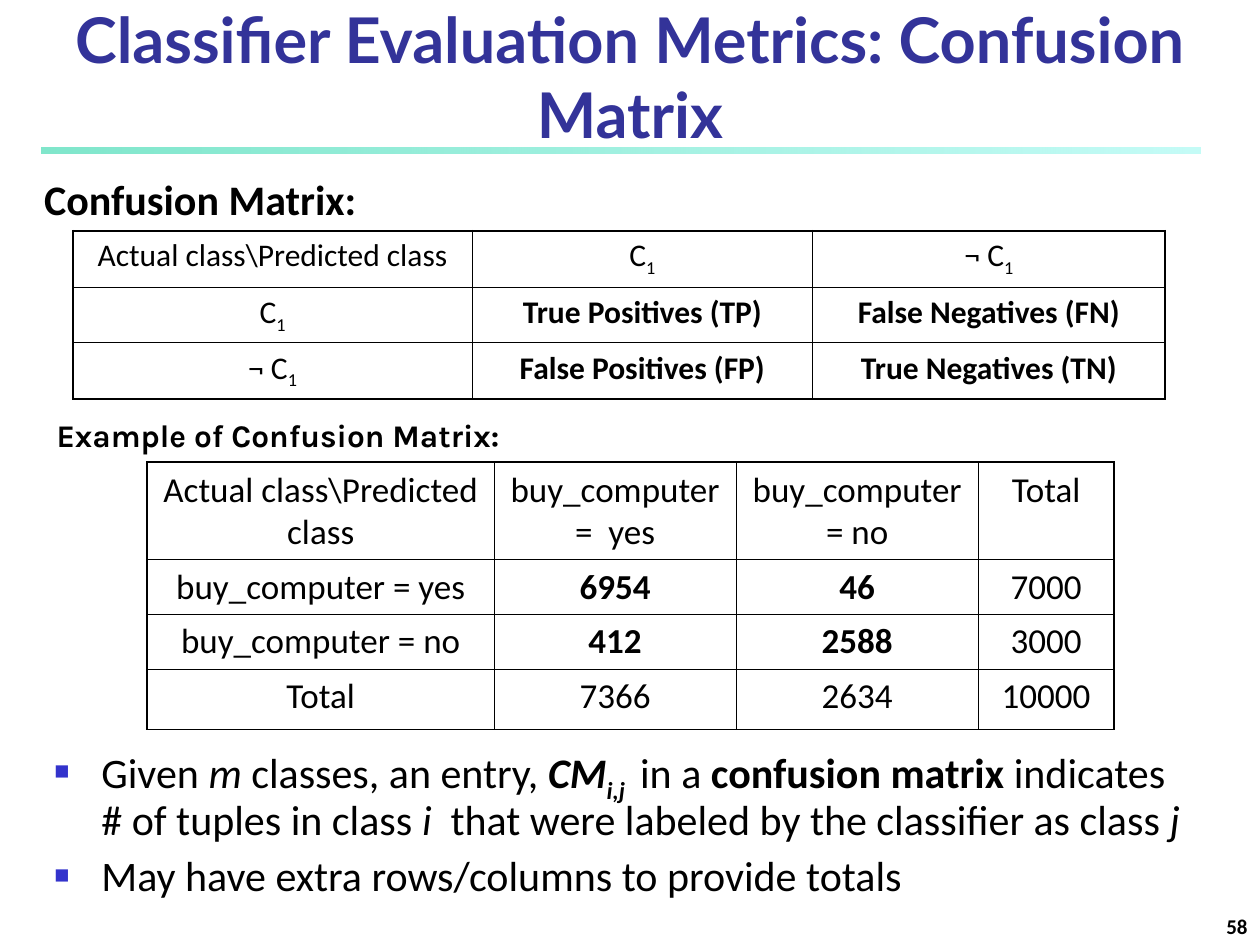
from lxml.etree import SubElement as Sub
from pptx import Presentation
from pptx.dml.color import RGBColor as Rgb
from pptx.enum.shapes import MSO_SHAPE as Shape
from pptx.enum.text import MSO_ANCHOR as Anchor, MSO_AUTO_SIZE as Fit, PP_ALIGN as Align
from pptx.oxml.ns import qn
from pptx.util import Cm, Pt

COLORS = {"title": "333399", "text": "000000", "bullet": "3333CC",
          "start": "00CE98", "end": "8FF9EF"}
FONT = "Calibri"
THICK, THIN = 1.08, 0.45
C1 = [("C", ""), ("1", "s")]
NOT_C1 = [("¬ C", ""), ("1", "s")]


def color(name):
    return Rgb.from_string(COLORS[name])


def box_cm(box):
    return [Cm(n) for n in box]


def place(shape, box):
    shape.left, shape.top, shape.width, shape.height = box_cm(box)


def write(para, parts, size, font=FONT, ink="text", align=None):
    """Fill a paragraph with (text, marks) parts: b bold, i italic, s subscript."""
    para.alignment = align
    for text, marks in parts:
        run = para.add_run()
        run.text = text
        face = run.font
        face.name, face.size = font, Pt(size)
        face.bold, face.italic = "b" in marks, "i" in marks
        face.color.rgb = color(ink)
        if "s" in marks:
            run._r.get_or_add_rPr().set("baseline", "-25000")


def add_title(slide, box, text):
    title = slide.shapes.title
    place(title, box)
    frame = title.text_frame
    frame.auto_size, frame.vertical_anchor = Fit.NONE, Anchor.BOTTOM
    write(frame.paragraphs[0], [(text, "b")], 36, "Lato", "title", Align.CENTER)


def add_rule(slide, box):
    """Draw the fading bar behind the title."""
    bar = slide.shapes.add_shape(Shape.RECTANGLE, *box_cm(box))
    bar.shadow.inherit = False
    bar.line.fill.background()
    bar.fill.gradient()
    bar.fill.gradient_angle = 0
    looks = (("start", 50), ("end", 52))
    for stop, (name, alpha) in zip(bar.fill.gradient_stops, looks):
        stop.color.rgb = color(name)
    for tint, (_, alpha) in zip(bar._element.spPr.iter(qn("a:srgbClr")), looks):
        Sub(tint, qn("a:alpha"), val=str(alpha * 1000))
    slide.shapes._spTree.insert(2, bar._element)


def add_label(slide, box, text, size, font=FONT, align=None, anchor=Anchor.TOP, wrap=True):
    frame = slide.shapes.add_textbox(*box_cm(box)).text_frame
    frame.word_wrap, frame.vertical_anchor = wrap, anchor
    write(frame.paragraphs[0], [(text, "b")], size, font, align=align)


def add_edges(cell, widths):
    props = cell._tc.get_or_add_tcPr()
    for side, width in zip("LRTB", widths):
        line = Sub(props, qn("a:ln" + side), w=str(Pt(width)))
        fill = Sub(line, qn("a:solidFill"))
        Sub(fill, qn("a:srgbClr"), val=COLORS["text"])


def add_matrix(slide, spot, cols, rows, cells, size):
    """Draw a table with a thick frame; cells hold text or parts."""
    box = (*spot, sum(cols), sum(rows))
    table = slide.shapes.add_table(len(rows), len(cols), *box_cm(box)).table
    table.first_row = table.horz_banding = False
    for col, width in zip(table.columns, cols):
        col.width = Cm(width)
    for row, height in zip(table.rows, rows):
        row.height = Cm(height)
    for r, line in enumerate(cells):
        for c, parts in enumerate(line):
            cell = table.cell(r, c)
            outer = (c == 0, c == len(cols) - 1, r == 0, r == len(rows) - 1)
            add_edges(cell, [THICK if edge else THIN for edge in outer])
            cell.fill.background()
            para = cell.text_frame.paragraphs[0]
            para.space_before = Pt(size / 4)
            if isinstance(parts, str):
                bold = r in (1, 2) and c in (1, 2)
                parts = [(parts, "b" if bold else "")]
            write(para, parts, size, align=Align.CENTER)


def add_notes(slide, box, items):
    """Fill the body placeholder with square-bulleted items."""
    body = slide.placeholders[1]
    place(body, box)
    frame = body.text_frame
    frame.auto_size = Fit.NONE
    for n, parts in enumerate(items):
        para = frame.add_paragraph() if n else frame.paragraphs[0]
        para.line_spacing, para.space_before = 0.9, Pt(6)
        props = para._p.get_or_add_pPr()
        props.set("marL", str(Cm(0.95)))
        props.set("indent", str(-Cm(0.95)))
        Sub(Sub(props, qn("a:buClr")), qn("a:srgbClr"), val=COLORS["bullet"])
        Sub(props, qn("a:buSzPct"), val="60000")
        Sub(props, qn("a:buFont"), typeface="Arial")
        Sub(props, qn("a:buChar"), char="■")
        write(para, parts, 24)


def main():
    deck = Presentation()
    deck.slide_width, deck.slide_height = Cm(25.4), Cm(19.05)
    slide = deck.slides.add_slide(deck.slide_layouts[1])

    add_title(slide, (0, 0, 25.4, 3.18), "Classifier Evaluation Metrics: Confusion Matrix")
    add_rule(slide, (0.84, 2.97, 23.37, 0.13))
    add_notes(slide, (0.84, 14.94, 23.5, 3.48), [
        [("Given", ""), (" m", "i"), (" classes, an entry, ", ""), ("CM", "bi"),
         ("i,j ", "bis"), (" in a ", ""), ("confusion matrix", "b"),
         (" indicates # of tuples in class ", ""), ("i", "i"),
         ("  that were labeled by the classifier as class ", ""), ("j", "i")],
        [("May have extra rows/columns to provide totals", "")],
    ])

    add_label(slide, (0.64, 3.38, 7.24, 1.27), "Confusion Matrix:", 24)
    add_matrix(slide, (1.47, 4.65), (8.05, 6.86, 7.11), (1.14, 1.12, 1.14), [
        ["Actual class\\Predicted class", C1, NOT_C1],
        [C1, "True Positives (TP)", "False Negatives (FN)"],
        [NOT_C1, "False Positives (FP)", "True Negatives (TN)"],
    ], 18)

    add_label(slide, (0.89, 8.26, 9.83, 1.02), "Example of Confusion Matrix:", 18,
              "Karla", wrap=False)
    add_matrix(slide, (2.97, 9.32), (6.99, 4.88, 4.88, 2.74), (1.96, 1.1, 1.1, 1.22), [
        ["Actual class\\Predicted class", "buy_computer =  yes", "buy_computer = no", "Total"],
        ["buy_computer = yes", "6954", "46", "7000"],
        ["buy_computer = no", "412", "2588", "3000"],
        ["Total", "7366", "2634", "10000"],
    ], 20)

    add_label(slide, (20.12, 17.98, 5.28, 1.07), "58", 12,
              align=Align.RIGHT, anchor=Anchor.BOTTOM)
    deck.save("out.pptx")


if __name__ == "__main__":
    main()
